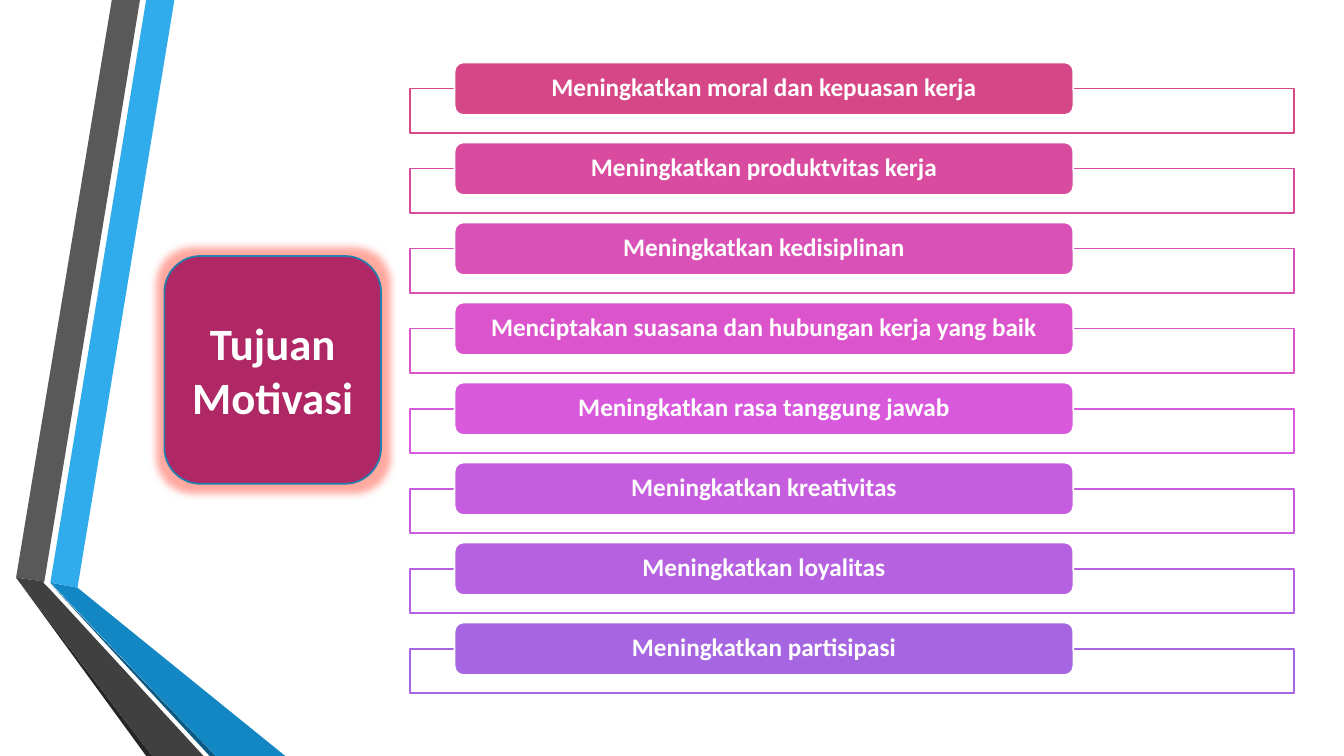
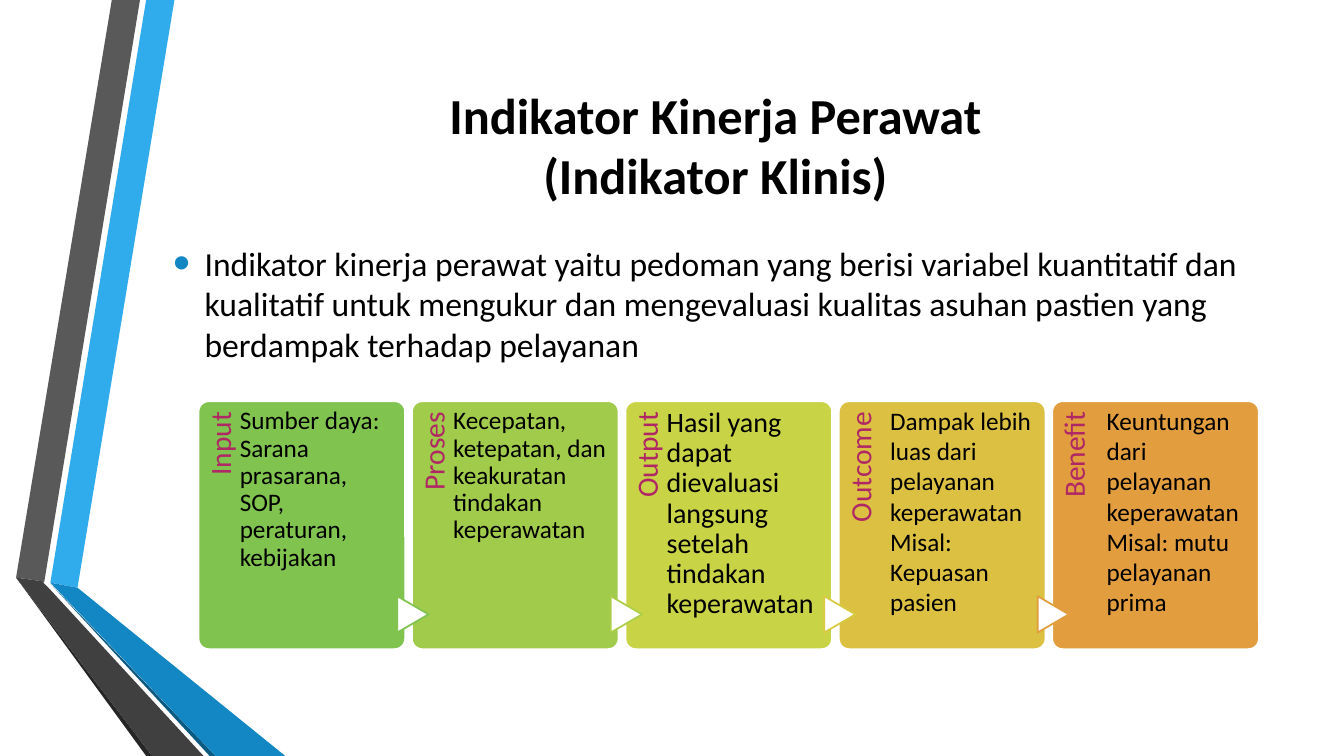
"""Build two slides on work motivation goals and nurse performance indicators."""
import lxml.etree
import pptx
import pptx.dml.color
import pptx.enum.shapes
import pptx.enum.text
import pptx.oxml.ns
import pptx.util

Pt = pptx.util.Pt
RGB = pptx.dml.color.RGBColor.from_string
MSO = pptx.enum.shapes.MSO_SHAPE
PP = pptx.enum.text.PP_ALIGN
ANCHOR = pptx.enum.text.MSO_ANCHOR
qn = pptx.oxml.ns.qn

FONT = "Calibri"
COLORS = {
    "white": "FFFFFF", "black": "000000", "berry": "AF2764", "glow": "FF2810",
    "edge": "247FAF", "sky": "30ACEC", "blue": "1287C3", "navy": "0C5A82",
    "gray": "595959", "charcoal": "404040", "coal": "262626",
}


def add_shape(s, kind, box, fill, line):
    sp = s.shapes.add_shape(kind, *[Pt(v) for v in box])
    sp.shadow.inherit = False
    sp.fill.solid()
    sp.fill.fore_color.rgb = RGB(fill)
    sp.line.color.rgb = RGB(line)
    sp.line.width = Pt(1.25)
    return sp


def set_text(sp, text, size, color, bold=False, align=PP.LEFT,
             anchor=ANCHOR.TOP, insets=(7.2, 3.6, 7.2, 3.6), spacing=1.0):
    tf = sp.text_frame
    tf.text = text
    tf.word_wrap = True
    tf.vertical_anchor = anchor
    tf.margin_left, tf.margin_top, tf.margin_right, tf.margin_bottom = map(Pt, insets)
    for p in tf.paragraphs:
        p.alignment = align
        p.line_spacing = spacing
        for r in p.runs:
            r.font.name = FONT
            r.font.size = Pt(size)
            r.font.bold = bold
            r.font.color.rgb = RGB(color)


prs = pptx.Presentation()
prs.slide_width, prs.slide_height = Pt(960), Pt(540)
layout = prs.slide_layouts[6]
s = prs.slides.add_slide(layout)

ribbons = [
    ("sky", [(36, 416.2), (55.4, 419.8), (124.6, 0), (104.4, 0)]),
    ("gray", [(100, 0), (79.9, 0), (11.5, 412.6), (31.7, 415.4)]),
    ("coal", [(11.5, 412.6), (104.4, 540), (108.7, 540)]),
    ("navy", [(36, 416.9), (149.8, 540), (154.1, 540)]),
    ("blue", [(36, 416.2), (154.1, 540), (203.8, 540), (55.4, 419.8)]),
    ("charcoal", [(145.4, 540), (34.6, 419.8), (31, 416.2), (31.7, 415.4),
                  (11.5, 412.6), (108.7, 540)]),
]
for color, points in ribbons:
    points = [(Pt(x), Pt(y)) for x, y in points]
    builder = s.shapes.build_freeform(*points[0])
    builder.add_line_segments(points[1:], close=True)
    sp = builder.convert_to_shape()
    sp.shadow.inherit = False
    sp.fill.solid()
    sp.fill.fore_color.rgb = RGB(COLORS[color])
    sp.line.fill.background()
    layout.shapes.element.append(sp.element)

goals = [
    ("Meningkatkan moral dan kepuasan kerja", "D64787"),
    ("Meningkatkan produktvitas kerja", "D84B9F"),
    ("Meningkatkan kedisiplinan", "D950B6"),
    ("Menciptakan suasana dan hubungan kerja yang baik", "DB54CC"),
    ("Meningkatkan rasa tanggung jawab", "D859DC"),
    ("Meningkatkan kreativitas", "C65DDE"),
    ("Meningkatkan loyalitas", "B661E0"),
    ("Meningkatkan partisipasi", "A666E1"),
]
for i, (goal, color) in enumerate(goals):
    y = 44.6 + i * 57.15
    add_shape(s, MSO.RECTANGLE, (293, y + 18.7, 631.4, 31.7), COLORS["white"], color)
    pill = add_shape(s, MSO.ROUNDED_RECTANGLE, (324.7, y, 442, 37.6), color, COLORS["white"])
    set_text(pill, goal, 18, COLORS["white"], True, PP.CENTER, ANCHOR.MIDDLE,
             (18, 0, 18, 0), 0.9)

topic = add_shape(s, MSO.ROUNDED_RECTANGLE, (117.4, 182.9, 154.8, 162.7),
                  COLORS["berry"], COLORS["edge"])
set_text(topic, "Tujuan Motivasi", 32, COLORS["white"], True, PP.CENTER, ANCHOR.MIDDLE)
effects = topic.element.spPr.find(qn("a:effectLst"))
glow = lxml.etree.SubElement(effects, qn("a:glow"), rad=str(Pt(11)))
tint = lxml.etree.SubElement(glow, qn("a:srgbClr"), val=COLORS["glow"])
lxml.etree.SubElement(tint, qn("a:alpha"), val="40000")

s = prs.slides.add_slide(layout)
title = s.shapes.add_textbox(Pt(116.6), Pt(54), Pt(789.1), Pt(97.9))
set_text(title, "Indikator Kinerja Perawat\n(Indikator Klinis)", 36, COLORS["black"],
         True, PP.CENTER, ANCHOR.MIDDLE)

body = s.shapes.add_textbox(Pt(116.6), Pt(163.4), Pt(789.1), Pt(106.6))
set_text(body, "Indikator kinerja perawat yaitu pedoman yang berisi variabel kuantitatif "
         "dan kualitatif untuk mengukur dan mengevaluasi kualitas asuhan pastien yang "
         "berdampak terhadap pelayanan", 24, COLORS["black"], anchor=ANCHOR.MIDDLE)
p = body.text_frame.paragraphs[0]
p.space_before, p.space_after = Pt(4.8), Pt(6)
pPr = p._p.get_or_add_pPr()
pPr.set("marL", str(Pt(22.5)))
pPr.set("indent", str(-Pt(22.5)))
bullet = lxml.etree.SubElement(pPr, qn("a:buClr"))
lxml.etree.SubElement(bullet, qn("a:srgbClr"), val=COLORS["blue"])
lxml.etree.SubElement(pPr, qn("a:buSzPct"), val="145000")
lxml.etree.SubElement(pPr, qn("a:buFont"), typeface="Arial")
lxml.etree.SubElement(pPr, qn("a:buChar"), char="•")

stages = [
    ("Input", "80C34F", None, 18, 0.9, 29.5, 110.2,
     "Sumber daya: Sarana prasarana, SOP, peraturan, kebijakan"),
    ("Proses", "A1CB4A", "80C34F", 18, 0.9, 29.5, 110.2,
     "Kecepatan, ketepatan, dan keakuratan tindakan keperawatan"),
    ("Output", "C8D346", "ADCE49", 20, 0.9, 29.5, 110.2,
     "Hasil yang dapat dievaluasi langsung setelah tindakan keperawatan"),
    ("Outcome", "DBC042", "D8CB43", 18, 1.0, 36.7, 102.2,
     "Dampak lebih luas dari pelayanan keperawatan\nMisal: Kepuasan pasien"),
    ("Benefit", "E29D3E", "E29D3E", 18, 1.0, 38.9, 102.2,
     "Keuntungan dari pelayanan keperawatan\nMisal: mutu pelayanan prima"),
]
for i, (name, fill, arrow_line, size, spacing, dx, width, detail) in enumerate(stages):
    x = 141.8 + i * 152.45
    card = add_shape(s, MSO.ROUNDED_RECTANGLE, (x, 286.6, 147.6, 177.1), fill, COLORS["white"])
    card.adjustments[0] = 0.05
    label = s.shapes.add_textbox(Pt(x - 58.3), Pt(344.9), Pt(144.7), Pt(29.5))
    label.rotation = 270
    set_text(label, name, 21, COLORS["berry"], align=PP.RIGHT,
             insets=(0, 5.8, 7.2, 0), spacing=0.9)
    if arrow_line:
        arrow = add_shape(s, MSO.FLOWCHART_EXTRACT, (x - 12.2, 427.7, 25.9, 22.3),
                          COLORS["white"], arrow_line)
        arrow.rotation = 90
    text = s.shapes.add_textbox(Pt(x + dx), Pt(286.6), Pt(width), Pt(177.1))
    set_text(text, detail, size, COLORS["black"],
             insets=(0, 5 if spacing < 1 else 2.9, 0, 0), spacing=spacing)

prs.save("out.pptx")
